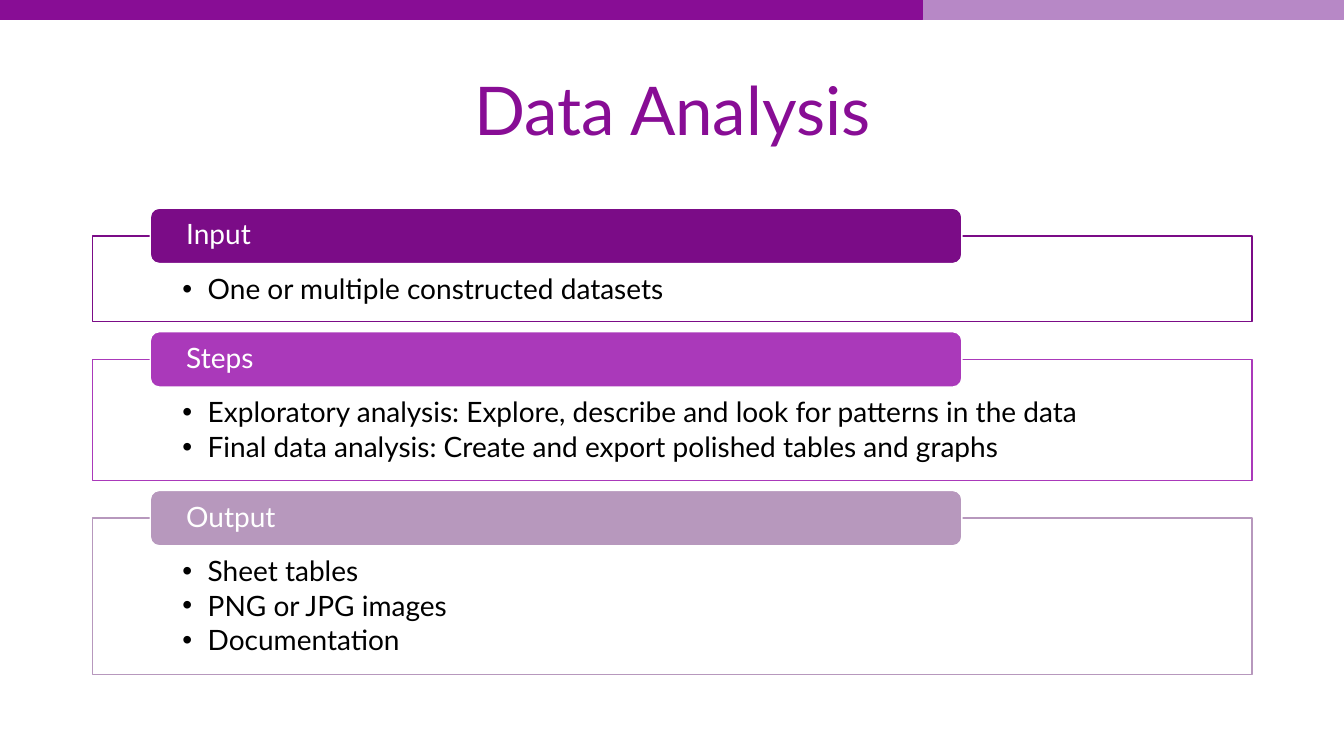
from dataclasses import dataclass

from lxml.etree import SubElement
from pptx import Presentation
from pptx.dml.color import RGBColor as RGB
from pptx.enum.shapes import MSO_SHAPE as SHAPE
from pptx.enum.text import MSO_ANCHOR as ANCHOR, PP_ALIGN as ALIGN
from pptx.oxml.ns import qn
from pptx.shapes.autoshape import Shape
from pptx.slide import Slide
from pptx.text.text import TextFrame
from pptx.util import Inches, Pt


@dataclass(frozen=True)
class Theme:
    font: str = "Lato"
    title_size: int = 48
    body_size: int = 20
    purple: str = "880D95"
    lilac: str = "B788C6"
    white: str = "FFFFFF"
    black: str = "000000"


@dataclass(frozen=True)
class Section:
    label: str
    color: str
    bullets: tuple[str, ...]


@dataclass(frozen=True)
class Box:
    left: float
    top: float
    width: float
    height: float

    def lengths(self) -> tuple[int, ...]:
        return tuple(map(Inches, (self.left, self.top, self.width, self.height)))


THEME = Theme()
BARS = (
    (Box(9.15, -0.01, 4.18, 0.2), THEME.lilac),
    (Box(0, -0.01, 9.15, 0.2), THEME.purple),
)
SECTIONS = (
    Section("Input", "7B0C87", ("One or multiple constructed datasets",)),
    Section("Steps", "AA39BA", (
        "Exploratory analysis: Explore, describe and look for patterns in the data",
        "Final data analysis: Create and export polished tables and graphs",
    )),
    Section("Output", "B798BD", ("Sheet tables", "PNG or JPG images", "Documentation")),
)
LEFT, WIDTH = 0.92, 11.5
FIRST_TOP, GAP = 2.34, 0.375
ONE_LINE_HEIGHT, EXTRA_LINE = 0.85, 0.35
LABEL_LEFT, LABEL_WIDTH, LABEL_HEIGHT = 1.49, 8.05, 0.55


def add_panel(s: Slide, kind: SHAPE, box: Box, fill: str, line: str, weight: float) -> Shape:
    sp = s.shapes.add_shape(kind, *box.lengths())
    sp.shadow.inherit = False
    sp.fill.solid()
    sp.fill.fore_color.rgb = RGB.from_string(fill)
    sp.line.color.rgb = RGB.from_string(line)
    sp.line.width = Pt(weight)
    return sp


def set_frame(tf: TextFrame, anchor: ANCHOR, left: float, top: float, right: float, bottom: float) -> None:
    values = {
        "word_wrap": True,
        "vertical_anchor": anchor,
        "margin_left": Inches(left),
        "margin_top": Inches(top),
        "margin_right": Inches(right),
        "margin_bottom": Inches(bottom),
    }
    for name, value in values.items():
        setattr(tf, name, value)


def write(tf: TextFrame, lines: tuple[str, ...], size: int, color: str,
          align: ALIGN = ALIGN.LEFT, bulleted: bool = False) -> None:
    for i, line in enumerate(lines):
        p = tf.add_paragraph() if i else tf.paragraphs[0]
        p.alignment = align
        p.line_spacing = 0.9
        if bulleted:
            p.space_after = Pt(3)
            pPr = p._p.get_or_add_pPr()
            pPr.set("marL", str(Inches(0.25)))
            pPr.set("indent", str(Inches(-0.25)))
            SubElement(pPr, qn("a:buFont"), typeface="Arial")
            SubElement(pPr, qn("a:buChar"), char="•")
        r = p.add_run()
        r.text = line
        for name, value in {"name": THEME.font, "size": Pt(size)}.items():
            setattr(r.font, name, value)
        r.font.color.rgb = RGB.from_string(color)


def add_section(s: Slide, section: Section, top: float) -> float:
    """Draw a framed list with its label and return the bottom of the frame."""
    height = ONE_LINE_HEIGHT + EXTRA_LINE * (len(section.bullets) - 1)
    frame = add_panel(s, SHAPE.RECTANGLE, Box(LEFT, top, WIDTH, height),
                      THEME.white, section.color, 1)
    set_frame(frame.text_frame, ANCHOR.TOP, 0.89, 0.39, 0.89, 0.16)
    write(frame.text_frame, section.bullets, THEME.body_size, THEME.black, bulleted=True)

    label_box = Box(LABEL_LEFT, top - LABEL_HEIGHT / 2, LABEL_WIDTH, LABEL_HEIGHT)
    label = add_panel(s, SHAPE.ROUNDED_RECTANGLE, label_box, section.color, THEME.white, 1)
    set_frame(label.text_frame, ANCHOR.MIDDLE, 0.33, 0, 0.33, 0)
    write(label.text_frame, (section.label,), THEME.body_size, THEME.white)
    return top + height


def main() -> None:
    prs = Presentation()
    prs.slide_width, prs.slide_height = Inches(13.33), Inches(7.5)
    s = prs.slides.add_slide(prs.slide_layouts[6])

    for box, color in BARS:
        add_panel(s, SHAPE.RECTANGLE, box, color, color, 0.75)

    title = s.shapes.add_textbox(*Box(LEFT, 0.4, WIDTH, 1.45).lengths())
    set_frame(title.text_frame, ANCHOR.MIDDLE, 0.1, 0.05, 0.1, 0.05)
    write(title.text_frame, ("Data Analysis",), THEME.title_size, THEME.purple, ALIGN.CENTER)

    top = FIRST_TOP
    for section in SECTIONS:
        top = add_section(s, section, top) + GAP

    prs.save("out.pptx")


if __name__ == "__main__":
    main()
